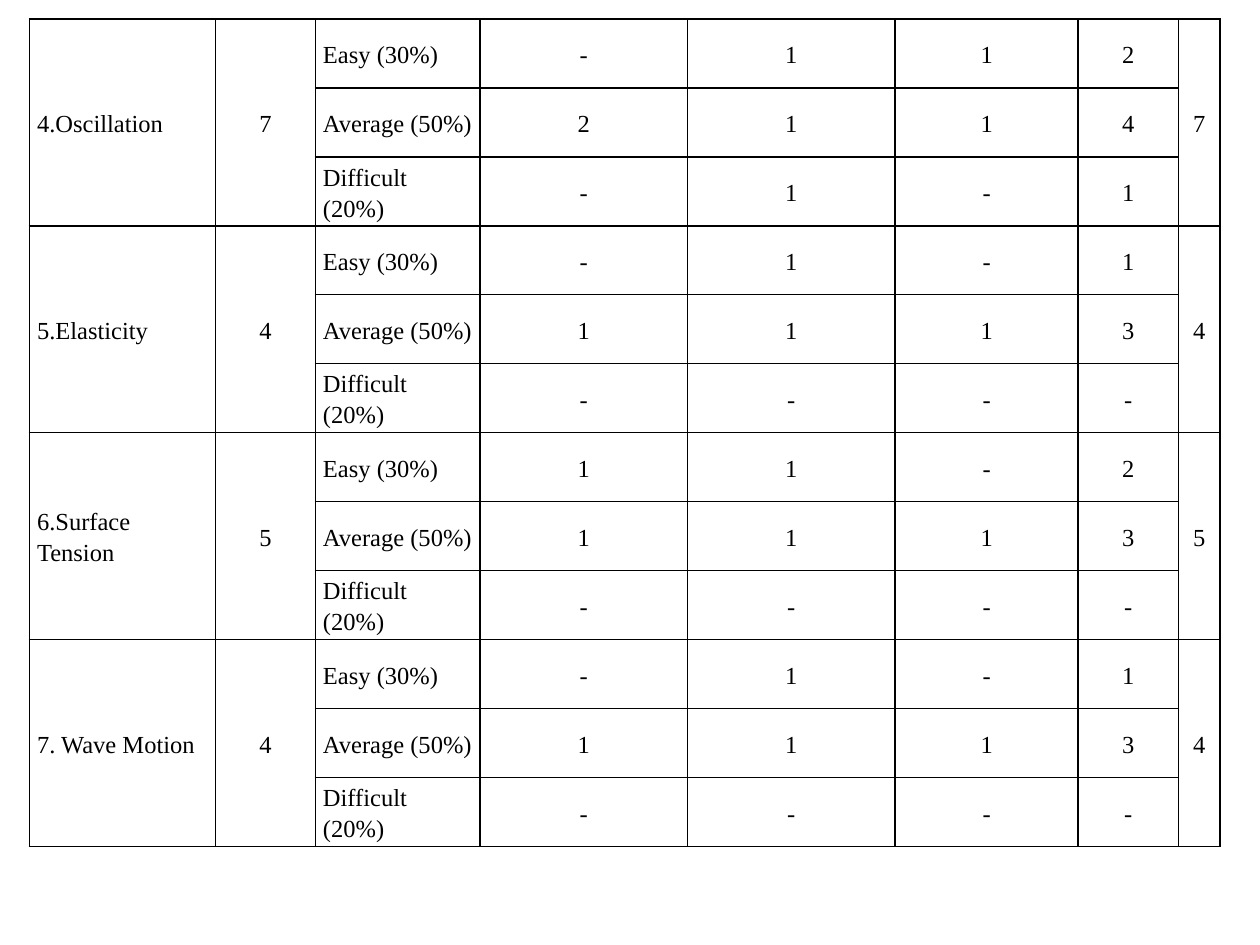
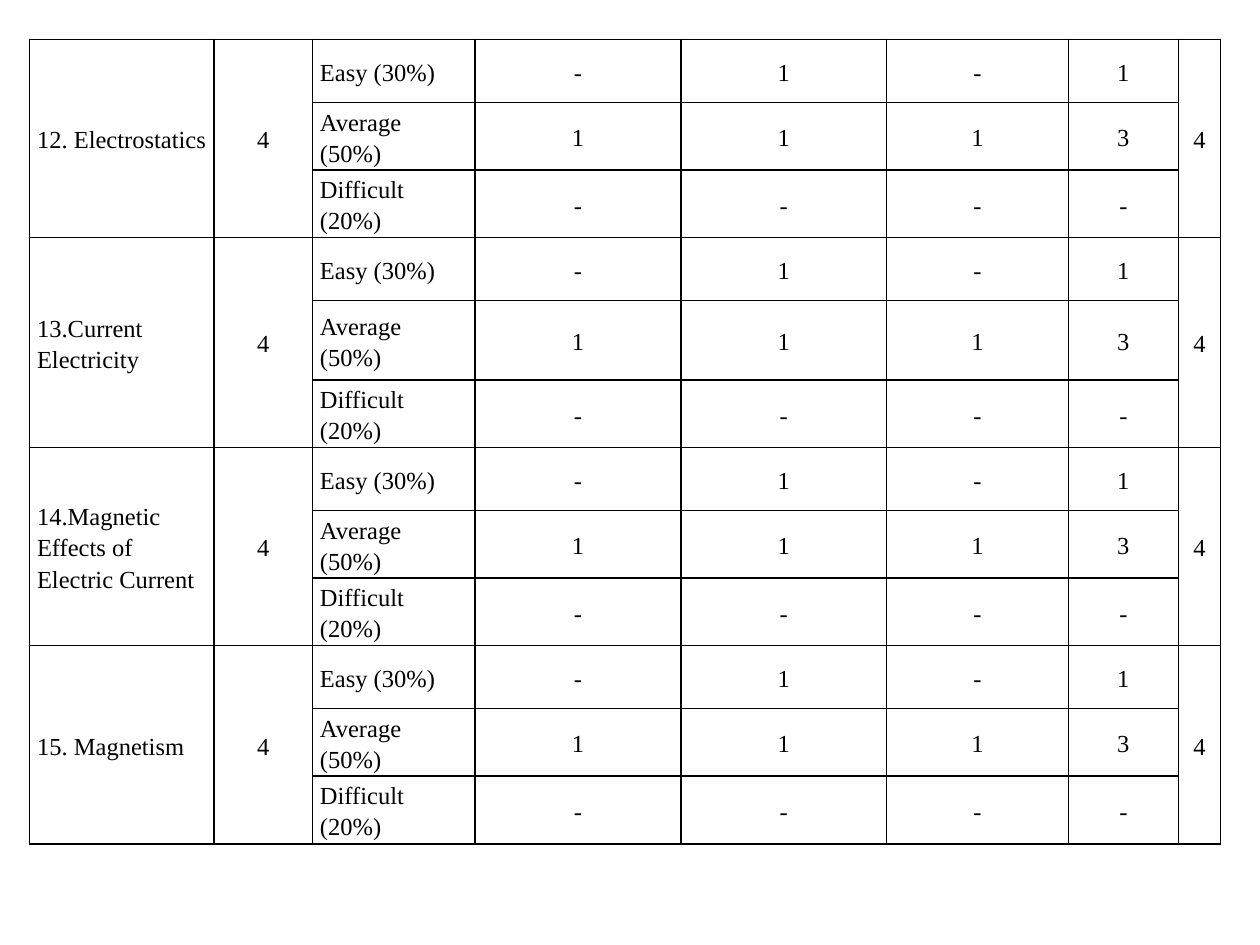
"""Build two slides of a marks plan by unit and level."""
from typing import NamedTuple

from lxml.etree import SubElement
from pptx import Presentation
from pptx.dml.color import RGBColor
from pptx.enum.text import MSO_ANCHOR, PP_ALIGN
from pptx.oxml.ns import qn
from pptx.util import Inches, Pt

INK = RGBColor(0x00, 0x00, 0x00)
FONT = "Times New Roman"
SIZE = Pt(14)
LINE = Pt(1)
WIDE, HIGH = Inches(10), Inches(7.5)
LEFT = 2.34
LEVELS = ("Easy (30%)", "Average (50%)", "Difficult (20%)")
SIDES = ("a:lnL", "a:lnR", "a:lnT", "a:lnB")
SPAN = len(LEVELS)


class Unit(NamedTuple):
    """A unit, its weight, and its marks for each level."""
    name: str
    weight: int
    marks: tuple[str, str, str]


class Page(NamedTuple):
    """A table whose top, columns and rows are percent of the slide."""
    top: float
    cols: tuple[float, ...]
    rows: tuple[float, ...]
    units: tuple[Unit, ...]


COMMON = ("-1-", "111", "---")
TIGHT = (6.67, 7.15, 7.15)
LOOSE = (6.67, 8.4, 7.15)

PAGES = (
    Page(2, (14.76, 7.94, 13.05, 16.48, 16.48, 14.54, 7.94, 3.33),
         (7.3,) * 12, (
        Unit("4.Oscillation", 7, ("-11", "211", "-1-")),
        Unit("5.Elasticity", 4, COMMON),
        Unit("6.Surface Tension", 5, ("11-", "111", "---")),
        Unit("7. Wave Motion", 4, COMMON),
    )),
    Page(4.18, (14.64, 7.82, 12.92, 16.33, 16.33, 14.42, 8.75, 3.32),
         TIGHT + LOOSE + TIGHT * 2, (
        Unit("12. Electrostatics", 4, COMMON),
        Unit("13.Current Electricity", 4, COMMON),
        Unit("14.Magnetic Effects of Electric Current", 4, COMMON),
        Unit("15. Magnetism", 4, COMMON),
    )),
)


def across(share: float) -> int:
    """Turn a percent of the slide width into a length."""
    return round(WIDE * share / 100)


def down(share: float) -> int:
    """Turn a percent of the slide height into a length."""
    return round(HIGH * share / 100)


def frame(cell) -> None:
    """Give a cell thin lines on all sides and no fill."""
    props = cell._tc.get_or_add_tcPr()
    for side in SIDES:
        line = SubElement(props, qn(side), w=str(LINE))
        fill = SubElement(line, qn("a:solidFill"))
        SubElement(fill, qn("a:srgbClr"), val=str(INK))
    cell.fill.background()


def write(cell, text: str, col: int) -> None:
    """Put one styled run in a cell."""
    cell.vertical_anchor = MSO_ANCHOR.MIDDLE
    cell.margin_left = Inches(0.06)
    cell.margin_right = Inches(0.05 if col == 0 else 0.06)
    cell.margin_top = cell.margin_bottom = 0
    para = cell.text_frame.paragraphs[0]
    para.alignment = PP_ALIGN.LEFT if col in (0, 2) else PP_ALIGN.CENTER
    para.line_spacing = 1.15
    run = para.add_run()
    run.text = text
    run.font.name, run.font.size = FONT, SIZE
    run.font.color.rgb = INK


def total(marks: str) -> str:
    """Add up a row of marks, with a dash for none."""
    return str(sum(int(mark) for mark in marks if mark != "-") or "-")


def fill_unit(table, first: int, unit: Unit) -> None:
    """Fill the rows of one unit."""
    last = len(table.columns) - 1
    heads = {0: unit.name, 1: str(unit.weight), last: str(unit.weight)}
    for col, text in heads.items():
        cell = table.cell(first, col)
        cell.merge(table.cell(first + SPAN - 1, col))
        write(cell, text, col)
    for row, (level, marks) in enumerate(zip(LEVELS, unit.marks), first):
        for col, text in enumerate((level, *marks, total(marks)), 2):
            write(table.cell(row, col), text, col)


def draw(deck, page: Page) -> None:
    """Add one slide with its table."""
    slide = deck.slides.add_slide(deck.slide_layouts[6])
    table = slide.shapes.add_table(
        len(page.rows), len(page.cols), across(LEFT), down(page.top),
        across(sum(page.cols)), down(sum(page.rows))).table
    table.first_row = table.horz_banding = False
    for col, share in zip(table.columns, page.cols):
        col.width = across(share)
    for row, share in zip(table.rows, page.rows):
        row.height = down(share)
    for cell in table.iter_cells():
        frame(cell)
    for place, unit in enumerate(page.units):
        fill_unit(table, place * SPAN, unit)


def main() -> None:
    """Build and save the deck."""
    deck = Presentation()
    deck.slide_width, deck.slide_height = WIDE, HIGH
    for page in PAGES:
        draw(deck, page)
    deck.save("out.pptx")


if __name__ == "__main__":
    main()
